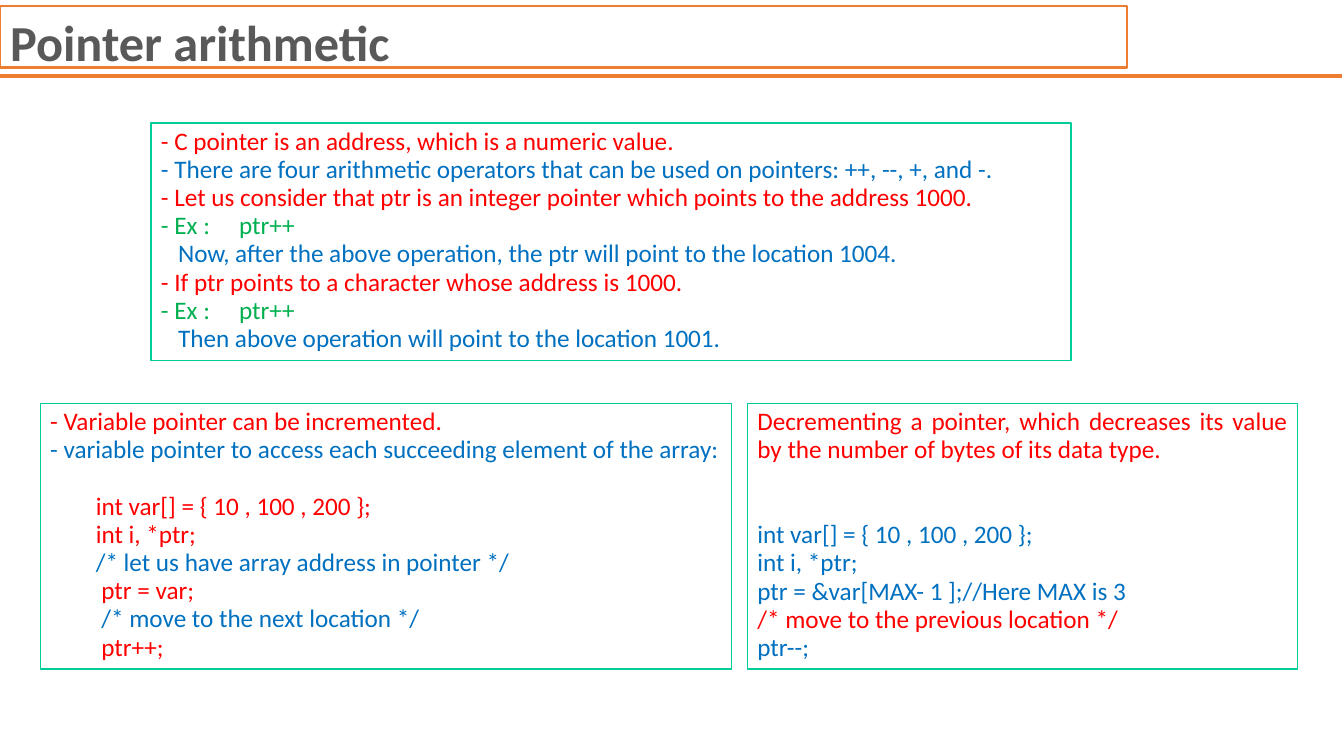
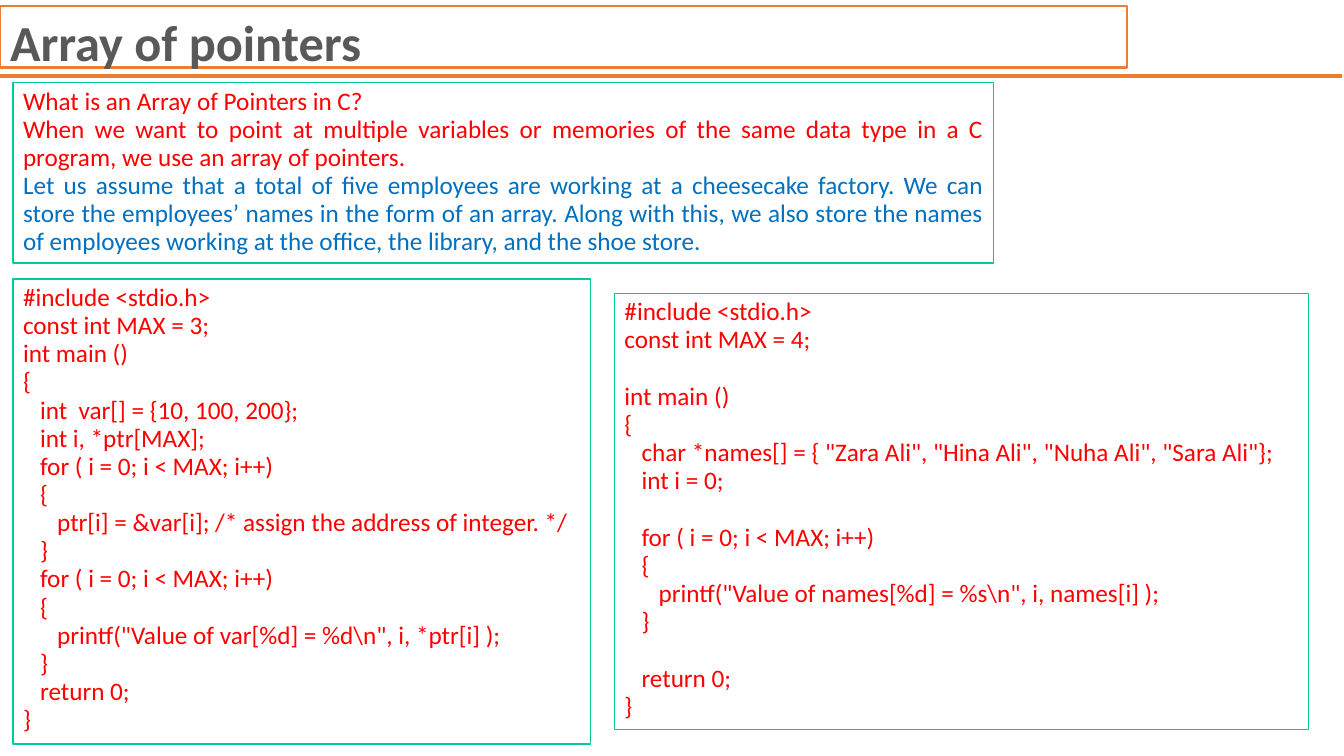
from typing import NamedTuple

from lxml.etree import SubElement
from pptx import Presentation
from pptx.dml.color import RGBColor
from pptx.enum.shapes import MSO_CONNECTOR, MSO_SHAPE
from pptx.enum.text import MSO_ANCHOR, MSO_AUTO_SIZE, PP_ALIGN
from pptx.oxml.ns import qn
from pptx.util import Pt

WHITE = RGBColor(0xFF, 0xFF, 0xFF)
ORANGE = RGBColor(0xED, 0x7D, 0x31)
GREY = RGBColor(0x59, 0x59, 0x59)
TEAL = RGBColor(0x00, 0xCC, 0x99)
RED = RGBColor(0xFF, 0x00, 0x00)
BLUE = RGBColor(0x00, 0x70, 0xC0)
GREEN = RGBColor(0x00, 0xB0, 0x50)

STEP = 12.2  # one level of code indent
CODE = 32.6  # indent of the code under the bullet lines
EX_TAB = 55.8  # where the example after "Ex :" starts


class Line(NamedTuple):
    """A paragraph; gap counts the empty lines left above it."""
    text: str
    color: RGBColor = RED
    indent: float = 0
    gap: int = 0


class Deck:
    FONT = "Calibri"
    TITLE_SIZE, BODY_SIZE = 36, 18
    PITCH, INSET = 20.3, 3.6

    def __init__(self):
        self.prs = Presentation()
        self.prs.slide_width, self.prs.slide_height = Pt(960.5), Pt(540)
        self.s = None

    def add_slide(self, title):
        self.s = self.prs.slides.add_slide(self.prs.slide_layouts[5])
        self.rule()
        self.title(title)

    def rule(self):
        line = self.s.shapes.add_connector(
            MSO_CONNECTOR.STRAIGHT, Pt(-0.7), Pt(54.3), Pt(959.3), Pt(54.3))
        line.line.color.rgb = ORANGE
        line.line.width = Pt(3)
        SubElement(line._element.spPr, qn("a:effectLst"))

    def title(self, text):
        sp = self.s.shapes.title
        self.place(sp, 0, 4.3, 805.7, 43.9)
        sp.line.color.rgb = ORANGE
        sp.line.width = Pt(1.5)
        self.frame(sp)
        p = sp.text_frame.paragraphs[0]
        p.text = text
        p.alignment = PP_ALIGN.LEFT
        self.font(p, self.TITLE_SIZE, GREY, bold=True)

    def panel(self, x, y, w, rows, lines, align=PP_ALIGN.JUSTIFY):
        """Framed text box, tall enough for the given rows of text."""
        sp = self.s.shapes.add_shape(MSO_SHAPE.RECTANGLE, 0, 0, 0, 0)
        self.place(sp, x, y, w, rows * self.PITCH + 2 * self.INSET)
        sp.shadow.inherit = False
        sp.fill.solid()
        sp.fill.fore_color.rgb = WHITE
        sp.line.color.rgb = TEAL
        sp.line.width = Pt(1)
        tf = self.frame(sp)
        for i, line in enumerate(lines):
            p = tf.add_paragraph() if i else tf.paragraphs[0]
            self.paragraph(p, line, align)

    def paragraph(self, p, line, align):
        p.text = line.text
        p.alignment = align
        p.line_spacing = 0.93
        p.space_before = Pt(line.gap * self.PITCH)
        self.font(p, self.BODY_SIZE, line.color)
        props = p._p.get_or_add_pPr()
        props.set("marL", str(Pt(line.indent)))
        if "\t" in line.text:
            tabs = SubElement(props, qn("a:tabLst"))
            SubElement(tabs, qn("a:tab"), pos=str(Pt(EX_TAB)), algn="l")

    def font(self, p, size, color, bold=False):
        for r in p.runs:
            r.font.name = self.FONT
            r.font.size = Pt(size)
            r.font.bold = bold
            r.font.color.rgb = color

    def frame(self, sp):
        tf = sp.text_frame
        tf.word_wrap = True
        tf.auto_size = MSO_AUTO_SIZE.NONE
        tf.vertical_anchor = MSO_ANCHOR.TOP
        tf.margin_top = tf.margin_bottom = Pt(self.INSET)
        tf.margin_left = tf.margin_right = Pt(2 * self.INSET)
        return tf

    @staticmethod
    def place(sp, x, y, w, h):
        sp.left, sp.top, sp.width, sp.height = Pt(x), Pt(y), Pt(w), Pt(h)


def pointer_arithmetic(deck):
    deck.add_slide("Pointer arithmetic")
    deck.panel(108, 87.8, 657.4, 8, [
        Line("- C pointer is an address, which is a numeric value."),
        Line("- There are four arithmetic operators that can be used on pointers: ++, --, +, and -.", BLUE),
        Line("- Let us consider that ptr is an integer pointer which points to the address 1000."),
        Line("- Ex :\tptr++", GREEN),
        Line("Now, after the above operation, the ptr will point to the location 1004.", BLUE, STEP),
        Line("- If ptr points to a character whose address is 1000."),
        Line("- Ex :\tptr++", GREEN),
        Line("Then above operation will point to the location 1001.", BLUE, STEP),
    ])
    deck.panel(28.8, 288, 493.9, 9, [
        Line("- Variable pointer can be incremented."),
        Line("- variable pointer to access each succeeding element of the array:", BLUE),
        Line("int var[] = { 10 , 100 , 200 };", RED, CODE, gap=1),
        Line("int i, *ptr;", RED, CODE),
        Line("/* let us have array address in pointer */", BLUE, CODE),
        Line("ptr = var;", RED, CODE + 4),
        Line("/* move to the next location */", BLUE, CODE + 4),
        Line("ptr++;", RED, CODE + 4),
    ], PP_ALIGN.LEFT)
    deck.panel(534.2, 288, 393.1, 9, [
        Line("Decrementing a pointer, which decreases its value by the number of bytes of its data type."),
        Line("int var[] = { 10 , 100 , 200 };", BLUE, gap=2),
        Line("int i, *ptr;", BLUE),
        Line("ptr = &var[MAX- 1 ];//Here MAX is 3", BLUE),
        Line("/* move to the previous location */"),
        Line("ptr--;", BLUE),
    ])


def array_of_pointers(deck):
    deck.add_slide("Array of pointers")
    deck.panel(9.4, 59, 700.6, 6, [
        Line("What is an Array of Pointers in C?"),
        Line("When we want to point at multiple variables or memories of the same data type "
             "in a C program, we use an array of pointers."),
        Line("Let us assume that a total of five employees are working at a cheesecake factory. "
             "We can store the employees’ names in the form of an array. Along with this, we also "
             "store the names of employees working at the office, the library, and the shoe store.",
             BLUE),
    ])
    loop = Line("for ( i = 0; i < MAX; i++)", indent=STEP)
    opening, closing = Line("{", indent=STEP), Line("}", indent=STEP)
    deck.panel(9.4, 199.4, 412.6, 16, [
        Line("#include <stdio.h>"),
        Line("const int MAX = 3;"),
        Line("int main ()"),
        Line("{"),
        Line("int  var[] = {10, 100, 200};", indent=STEP),
        Line("int i, *ptr[MAX];", indent=STEP),
        loop,
        opening,
        Line("ptr[i] = &var[i]; /* assign the address of integer. */", indent=2 * STEP),
        closing,
        loop,
        opening,
        Line(r'printf("Value of var[%d] = %d\n", i, *ptr[i] );', indent=2 * STEP),
        closing,
        Line("return 0;", indent=STEP),
        Line("}"),
    ])
    deck.panel(439.2, 209.5, 496.1, 15, [
        Line("#include <stdio.h>"),
        Line("const int MAX = 4;"),
        Line("int main ()", gap=1),
        Line("{"),
        Line('char *names[] = { "Zara Ali", "Hina Ali", "Nuha Ali", "Sara Ali"};', indent=STEP),
        Line("int i = 0;", indent=STEP),
        loop._replace(gap=1),
        opening,
        Line(r'printf("Value of names[%d] = %s\n", i, names[i] );', indent=2 * STEP),
        closing,
        Line("return 0;", indent=STEP, gap=1),
        Line("}"),
    ])


def main():
    deck = Deck()
    pointer_arithmetic(deck)
    array_of_pointers(deck)
    deck.prs.save("out.pptx")


if __name__ == "__main__":
    main()
